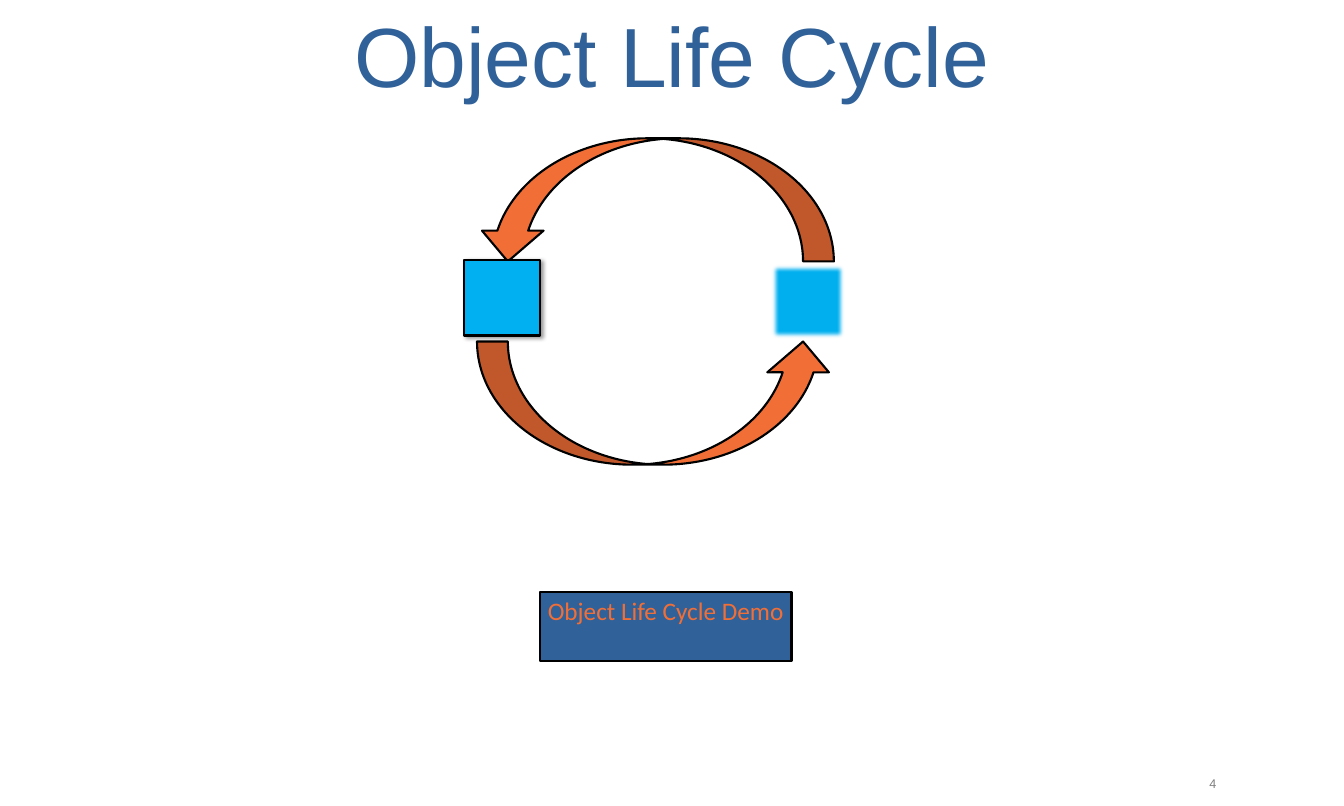
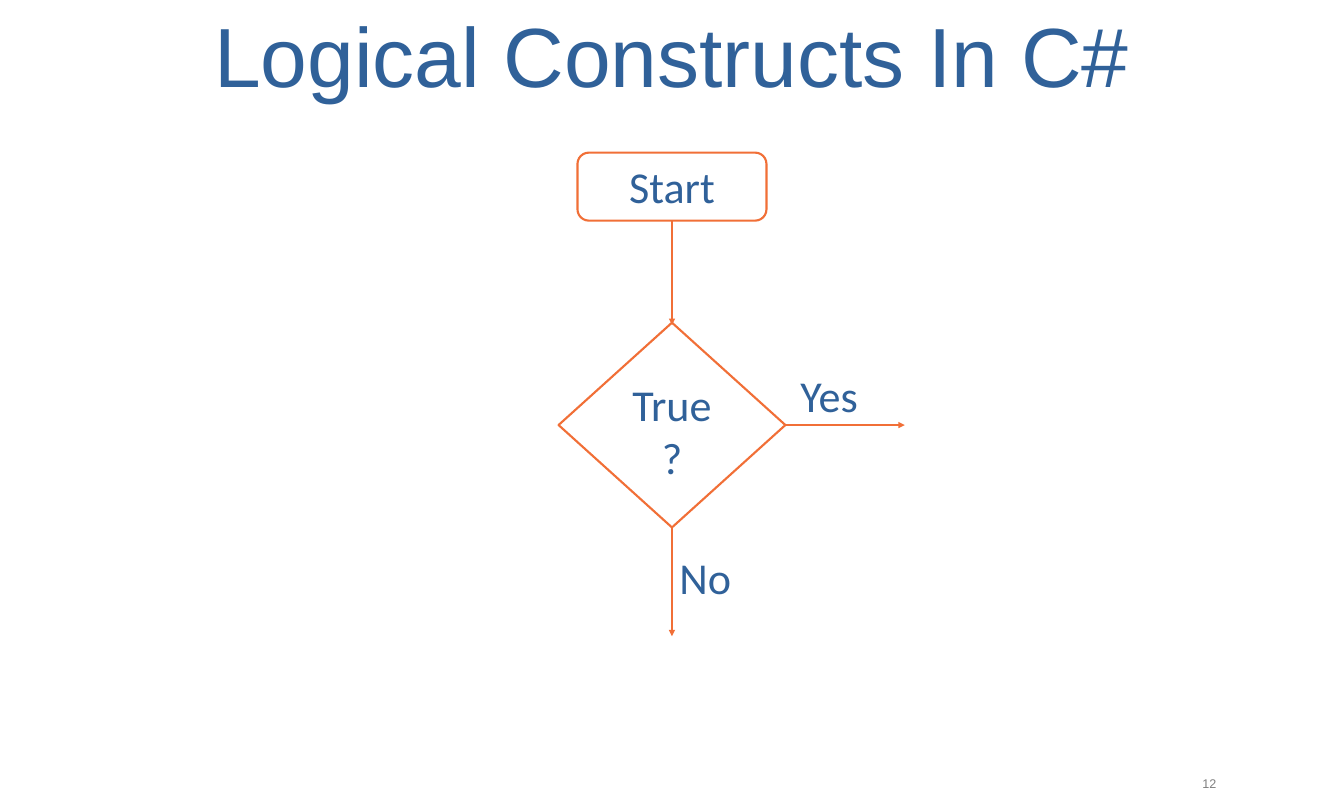
from dataclasses import dataclass

from lxml.etree import SubElement
from pptx import Presentation
from pptx.dml.color import RGBColor
from pptx.enum.shapes import MSO_CONNECTOR, MSO_SHAPE
from pptx.enum.text import MSO_ANCHOR, PP_ALIGN
from pptx.oxml.ns import qn
from pptx.presentation import Presentation as Deck
from pptx.shapes.base import BaseShape
from pptx.slide import Slide
from pptx.text.text import TextFrame
from pptx.util import Emu, Inches, Pt


@dataclass(frozen=True)
class Theme:
    blue: RGBColor = RGBColor(0x30, 0x61, 0x99)
    orange: RGBColor = RGBColor(0xF1, 0x6F, 0x37)
    sky: RGBColor = RGBColor(0x00, 0xB0, 0xF0)
    black: RGBColor = RGBColor(0, 0, 0)
    grey: RGBColor = RGBColor(0x80, 0x80, 0x80)
    heading_font: str = "Arial"
    body_font: str = "Calibri"
    title_size: int = 80
    flow_size: int = 42
    button_size: int = 24
    number_size: int = 12
    line_width: int = 2


THEME = Theme()
SLIDE_WIDTH, SLIDE_HEIGHT = 160 / 9, 32 / 3
CENTER = SLIDE_WIDTH / 2


@dataclass(frozen=True)
class Box:
    left: float
    top: float
    width: float
    height: float

    def lengths(self) -> list[Emu]:
        return [Inches(value) for value in (self.left, self.top, self.width, self.height)]


@dataclass(frozen=True)
class TextStyle:
    size: int
    color: RGBColor
    font: str = THEME.body_font
    align: PP_ALIGN = PP_ALIGN.CENTER
    side_margin: float = 0.1


TITLE = TextStyle(THEME.title_size, THEME.blue, THEME.heading_font)
NUMBER = TextStyle(THEME.number_size, THEME.grey, THEME.heading_font, PP_ALIGN.RIGHT, 0)
BUTTON = TextStyle(THEME.button_size, THEME.orange, side_margin=0.05)
FLOW = TextStyle(THEME.flow_size, THEME.blue)
BRANCH = TextStyle(THEME.flow_size, THEME.blue, align=PP_ALIGN.LEFT)


@dataclass(frozen=True)
class Node:
    kind: MSO_SHAPE
    box: Box
    line: RGBColor
    fill: RGBColor | None = None
    text: str = ""
    style: TextStyle = FLOW
    rotation: int = 0


@dataclass(frozen=True)
class Arrow:
    start: tuple[float, float]
    end: tuple[float, float]


def write(frame: TextFrame, text: str, style: TextStyle) -> None:
    frame.word_wrap = True
    frame.vertical_anchor = MSO_ANCHOR.TOP
    frame.margin_left = frame.margin_right = Inches(style.side_margin)
    paragraph = frame.paragraphs[0]
    paragraph.text = text
    paragraph.alignment = style.align
    paragraph.font.size = Pt(style.size)
    paragraph.font.name = style.font
    paragraph.font.color.rgb = style.color


def add_label(slide: Slide, box: Box, text: str, style: TextStyle) -> None:
    write(slide.shapes.add_textbox(*box.lengths()).text_frame, text, style)


def add_node(slide: Slide, node: Node) -> BaseShape:
    shape = slide.shapes.add_shape(node.kind, *node.box.lengths())
    shape.shadow.inherit = False
    shape.rotation = node.rotation
    if node.fill is None:
        shape.fill.background()
    else:
        shape.fill.solid()
        shape.fill.fore_color.rgb = node.fill
    shape.line.color.rgb = node.line
    shape.line.width = Pt(THEME.line_width)
    if node.text:
        write(shape.text_frame, node.text, node.style)
    return shape


def add_arrow(slide: Slide, arrow: Arrow) -> None:
    points = [Inches(value) for value in (*arrow.start, *arrow.end)]
    connector = slide.shapes.add_connector(MSO_CONNECTOR.STRAIGHT, *points)
    connector.line.color.rgb = THEME.orange
    connector.line.width = Pt(THEME.line_width)
    properties = connector.element.spPr
    SubElement(properties.find(qn("a:ln")), qn("a:tailEnd"), type="triangle")
    SubElement(properties, qn("a:effectLst"))


def add_drop_shadow(shape: BaseShape) -> None:
    effects = shape.element.spPr.find(qn("a:effectLst"))
    shadow = SubElement(effects, qn("a:outerShdw"), blurRad=str(Pt(4)), dist=str(Pt(3)),
                        dir=str(45 * 60000), algn="tl", rotWithShape="0")
    color = SubElement(shadow, qn("a:srgbClr"), val=str(THEME.black))
    SubElement(color, qn("a:alpha"), val="40000")


def add_soft_edge(shape: BaseShape) -> None:
    effects = shape.element.spPr.find(qn("a:effectLst"))
    SubElement(effects, qn("a:softEdge"), rad=str(Pt(5)))


def new_slide(presentation: Deck, title: str, number: int) -> Slide:
    """Add a blank slide with the shared title and slide number."""
    slide = presentation.slides.add_slide(presentation.slide_layouts[6])
    add_label(slide, Box(0, 0, SLIDE_WIDTH, 2.73), title, TITLE)
    add_label(slide, Box(15.85, 10.22, 0.24, 0.22), str(number), NUMBER)
    return slide


def build_life_cycle(presentation: Deck) -> None:
    slide = new_slide(presentation, "Object Life Cycle", 4)
    for top, rotation in ((4.52, 0), (1.83, 180)):
        add_node(slide, Node(MSO_SHAPE.CURVED_UP_ARROW, Box(6.31, top, 4.72, 1.63),
                             THEME.black, THEME.orange, rotation=rotation))
    for left, top, add_effect in ((6.14, 3.44, add_drop_shadow), (10.19, 3.49, add_soft_edge)):
        square = Node(MSO_SHAPE.RECTANGLE, Box(left, top, 1, 1), THEME.black, THEME.sky)
        add_effect(add_node(slide, square))
    add_node(slide, Node(MSO_SHAPE.ACTION_BUTTON_CUSTOM, Box(7.14, 7.83, 3.33, 0.92),
                         THEME.black, THEME.blue, "Object Life Cycle Demo", BUTTON))


def build_logical_constructs(presentation: Deck) -> None:
    slide = new_slide(presentation, "Logical Constructs In C#", 12)
    start = Box(CENTER - 1.25, 2.02, 2.5, 0.9)
    decision = Box(CENTER - 1.5, 4.27, 3, 2.71)
    right = decision.left + decision.width
    bottom = decision.top + decision.height
    middle = decision.top + decision.height / 2

    add_arrow(slide, Arrow((right, middle), (right + 1.58, middle)))
    add_node(slide, Node(MSO_SHAPE.FLOWCHART_ALTERNATE_PROCESS, start, THEME.orange, text="Start"))
    add_node(slide, Node(MSO_SHAPE.FLOWCHART_DECISION, decision, THEME.orange, text="True?"))
    add_arrow(slide, Arrow((CENTER, start.top + start.height), (CENTER, 4.3)))
    add_arrow(slide, Arrow((CENTER, bottom), (CENTER, 8.42)))
    for text, left, top in (("No", CENTER, 7.24), ("Yes", right + 0.1, 4.82)):
        add_label(slide, Box(left, top, 1.83, 0.81), text, BRANCH)


def main() -> None:
    presentation = Presentation()
    presentation.slide_width = Inches(SLIDE_WIDTH)
    presentation.slide_height = Inches(SLIDE_HEIGHT)
    build_life_cycle(presentation)
    build_logical_constructs(presentation)
    presentation.save("out.pptx")


if __name__ == "__main__":
    main()
